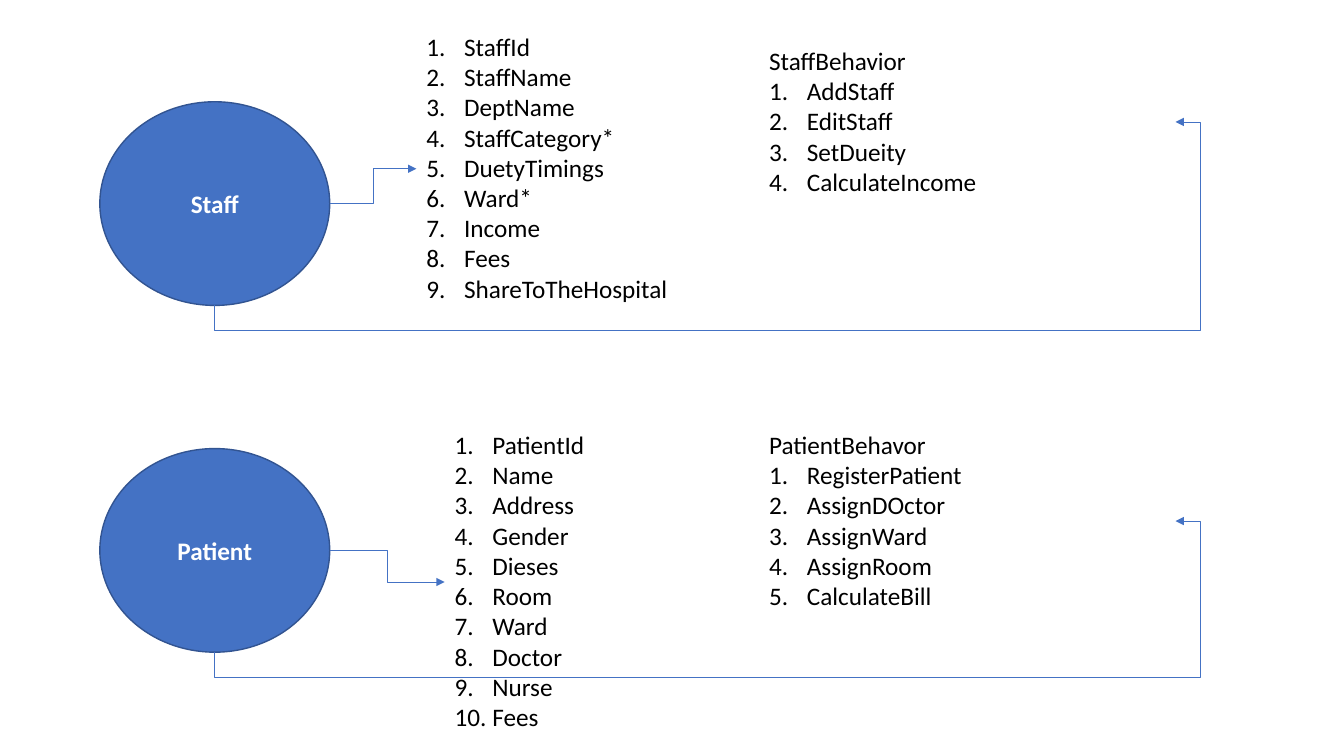
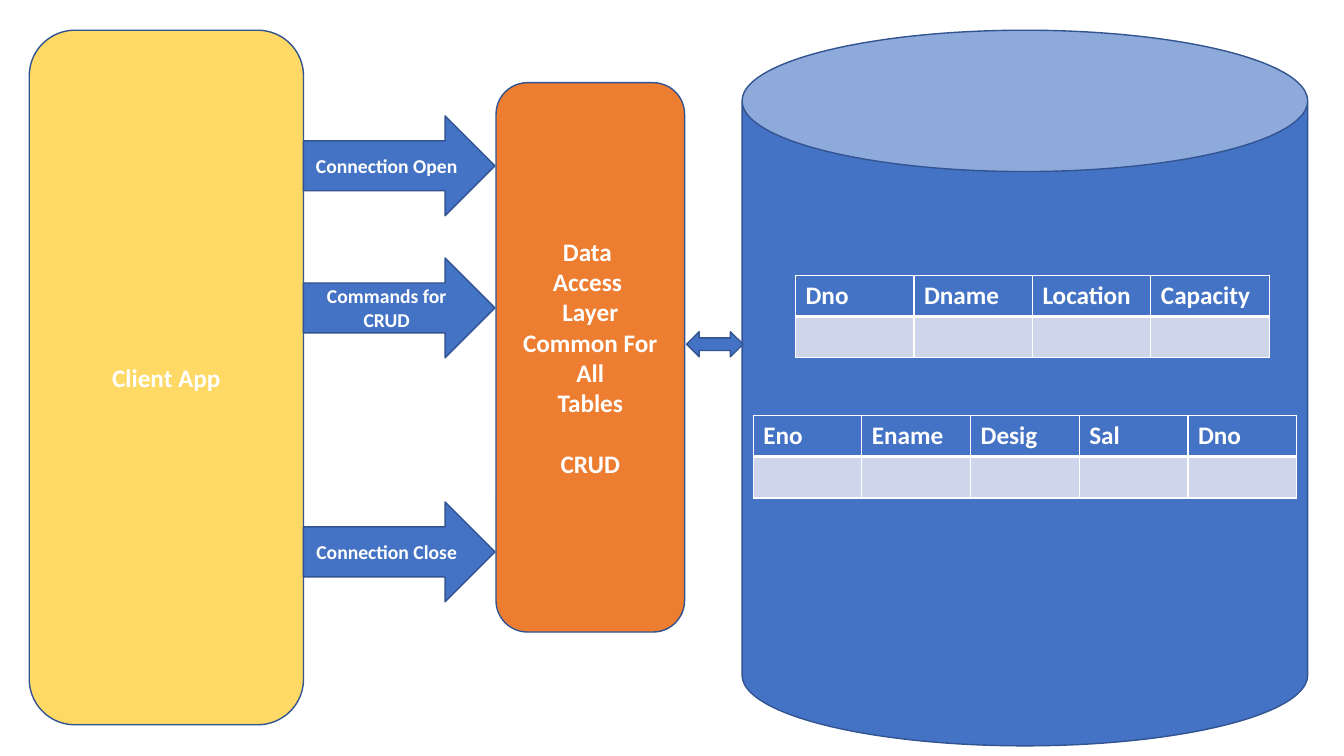
from pptx import Presentation
from pptx.dml.color import RGBColor
from pptx.enum.shapes import MSO_CONNECTOR, MSO_SHAPE
from pptx.enum.text import MSO_ANCHOR, MSO_AUTO_SIZE, PP_ALIGN
from pptx.oxml.ns import qn
from pptx.util import Inches, Pt
from lxml.etree import SubElement

FONT = "Calibri"
COLORS = {"blue": "4472C4", "edge": "325491", "gold": "FFD966", "orange": "ED7D31",
          "pale": "CFD5EA", "white": "FFFFFF", "black": "000000"}

# Each entity: circle top, fields (left, top, height), behavior (top, height), arrow end
ENTITIES = [
    {"name": "Staff", "top": 1.01, "fields_at": (4.13, 0.26, 2.83),
     "fields": ["StaffId", "StaffName", "DeptName", "StaffCategory*", "DuetyTimings",
                "Ward*", "Income", "Fees", "ShareToTheHospital"],
     "title": "StaffBehavior", "behavior_at": (0.4, 1.62),
     "behavior": ["AddStaff", "EditStaff", "SetDueity", "CalculateIncome"]},
    {"name": "Patient", "top": 4.45, "fields_at": (4.41, 4.21, 3.13),
     "fields": ["PatientId", "Name", "Address", "Gender", "Dieses", "Room", "Ward",
                "Doctor", "Nurse", "Fees"],
     "title": "PatientBehavor", "behavior_at": (4.21, 1.92),
     "behavior": ["RegisterPatient", "AssignDOctor", "AssignWard", "AssignRoom",
                  "CalculateBill"]},
]
CIRCLE = {"left": 0.99, "width": 2.28, "height": 2.02}
FIELDS_W = 2.82
BEHAVIOR_X, BEHAVIOR_W = 7.53, 4.13
BEND = 0.25

TABLES = [
    (7.89, 2.73, 4.7, ["Dno", "Dname", "Location", "Capacity"]),
    (7.47, 4.12, 5.39, ["Eno", "Ename", "Desig", "Sal", "Dno"]),
]
ROW_H = 0.41
CALLS = [(1.15, "Connection Open"), (2.56, "Commands for CRUD"), (4.98, "Connection Close")]
LAYER = ["Data ", "Access ", "Layer", "Common For", "All", "Tables", "CRUD"]


def color(name):
    return RGBColor.from_string(COLORS[name])


def add_run(para, text, size=18, ink="white", bold=True):
    run = para.add_run()
    run.text = text
    run.font.name, run.font.size, run.font.bold = FONT, Pt(size), bold
    run.font.color.rgb = color(ink)


def next_para(frame, index):
    return frame.add_paragraph() if index else frame.paragraphs[0]


def add_box(slide, kind, box, fill="blue", lines=(), size=18):
    shape = slide.shapes.add_shape(kind, *map(Inches, box))
    shape.shadow.inherit = False
    shape.fill.solid()
    shape.fill.fore_color.rgb = color(fill)
    shape.line.color.rgb = color("edge")
    shape.line.width = Pt(1)
    frame = shape.text_frame
    frame.word_wrap = True
    frame.vertical_anchor = MSO_ANCHOR.MIDDLE
    for i, line in enumerate(lines):
        para = next_para(frame, i)
        para.alignment = PP_ALIGN.CENTER
        add_run(para, line, size)
    return shape


def add_list(slide, box, items, title=None):
    """Numbered list, with an optional plain line above it."""
    frame = slide.shapes.add_textbox(*map(Inches, box)).text_frame
    frame.word_wrap = True
    frame.auto_size = MSO_AUTO_SIZE.SHAPE_TO_FIT_TEXT
    lines = ([title] if title else []) + items
    for i, line in enumerate(lines):
        para = next_para(frame, i)
        if line != title:
            props = para._p.get_or_add_pPr()
            props.set("marL", str(Inches(0.375)))
            props.set("indent", str(-Inches(0.375)))
            SubElement(props, qn("a:buFont"), typeface="+mj-lt")
            SubElement(props, qn("a:buAutoNum"), type="arabicPeriod")
        add_run(para, line, ink="black", bold=False)


def add_elbow(slide, start, end):
    link = slide.shapes.add_connector(MSO_CONNECTOR.ELBOW, *map(Inches, start + end))
    link.line.color.rgb = color("blue")
    link.line.width = Pt(0.5)
    props = link._element.spPr
    SubElement(props.find(qn("a:ln")), qn("a:tailEnd"), type="triangle")
    SubElement(props, qn("a:effectLst"))
    return props


def add_loop(slide, start, end):
    """Arrow that runs down, right, up and back left: a turned four-part elbow."""
    (x1, y1), (x2, y2) = start, end
    wide, high = x2 - x1, y1 - y2
    mid_x, mid_y = (x1 + x2) / 2, (y1 + y2) / 2
    props = add_elbow(slide, (mid_x + high / 2, mid_y + wide / 2),
                      (mid_x - high / 2, mid_y - wide / 2))
    props.find(qn("a:xfrm")).set("rot", str(90 * 60000))
    geom = props.find(qn("a:prstGeom"))
    geom.set("prst", "bentConnector4")
    guides = geom.find(qn("a:avLst"))
    for name, ratio in (("adj1", -BEND / high), ("adj2", 1 + BEND / wide)):
        SubElement(guides, qn("a:gd"), name=name, fmla=f"val {round(ratio * 100000)}")


def add_entity(slide, item):
    left, wide, high = CIRCLE["left"], CIRCLE["width"], CIRCLE["height"]
    top = item["top"]
    add_box(slide, MSO_SHAPE.OVAL, (left, top, wide, high), lines=[item["name"]])
    x, y, tall = item["fields_at"]
    add_list(slide, (x, y, FIELDS_W, tall), item["fields"])
    add_elbow(slide, (left + wide, top + high / 2), (x, y + tall / 2))
    y, tall = item["behavior_at"]
    add_list(slide, (BEHAVIOR_X, y, BEHAVIOR_W, tall), item["behavior"], item["title"])
    add_loop(slide, (left + wide / 2, top + high),
             (BEHAVIOR_X + BEHAVIOR_W, y + tall / 2))


def set_border(cell, side, points):
    props = cell._tc.get_or_add_tcPr()
    line = SubElement(props, qn(f"a:ln{side}"), w=str(Pt(points)))
    SubElement(SubElement(line, qn("a:solidFill")), qn("a:srgbClr"), val=COLORS["white"])


def add_grid(slide, left, top, wide, heads):
    box = map(Inches, (left, top, wide, 2 * ROW_H))
    table = slide.shapes.add_table(2, len(heads), *box).table
    for row in table.rows:
        row.height = Inches(ROW_H)
    for c, head in enumerate(heads):
        table.columns[c].width = Inches(wide / len(heads))
        for r, fill in enumerate(("blue", "pale")):
            cell = table.cell(r, c)
            thick = "T" if r else "B"
            for side in "LRTB":
                set_border(cell, side, 3 if side == thick else 1)
            cell.fill.solid()
            cell.fill.fore_color.rgb = color(fill)
        add_run(table.cell(0, c).text_frame.paragraphs[0], head)


def build_entities(slide):
    for item in ENTITIES:
        add_entity(slide, item)


def build_layers(slide):
    add_box(slide, MSO_SHAPE.CAN, (7.36, 0.3, 5.61, 7.1))
    for grid in TABLES:
        add_grid(slide, *grid)
    add_box(slide, MSO_SHAPE.ROUNDED_RECTANGLE, (0.29, 0.3, 2.72, 6.89), "gold",
            ["Client App"])
    for top, text in CALLS:
        add_box(slide, MSO_SHAPE.RIGHT_ARROW, (3.01, top, 1.9, 0.99), lines=[text], size=14)
    layer = add_box(slide, MSO_SHAPE.ROUNDED_RECTANGLE, (4.92, 0.82, 1.87, 5.45), "orange",
                    LAYER)
    layer.text_frame.paragraphs[-1].space_before = Pt(22)
    add_box(slide, MSO_SHAPE.LEFT_RIGHT_ARROW, (6.81, 3.29, 0.56, 0.25))


def main():
    deck = Presentation()
    deck.slide_width, deck.slide_height = Inches(13.33), Inches(7.5)
    for build in (build_entities, build_layers):
        build(deck.slides.add_slide(deck.slide_layouts[6]))
    deck.save("out.pptx")


if __name__ == "__main__":
    main()
